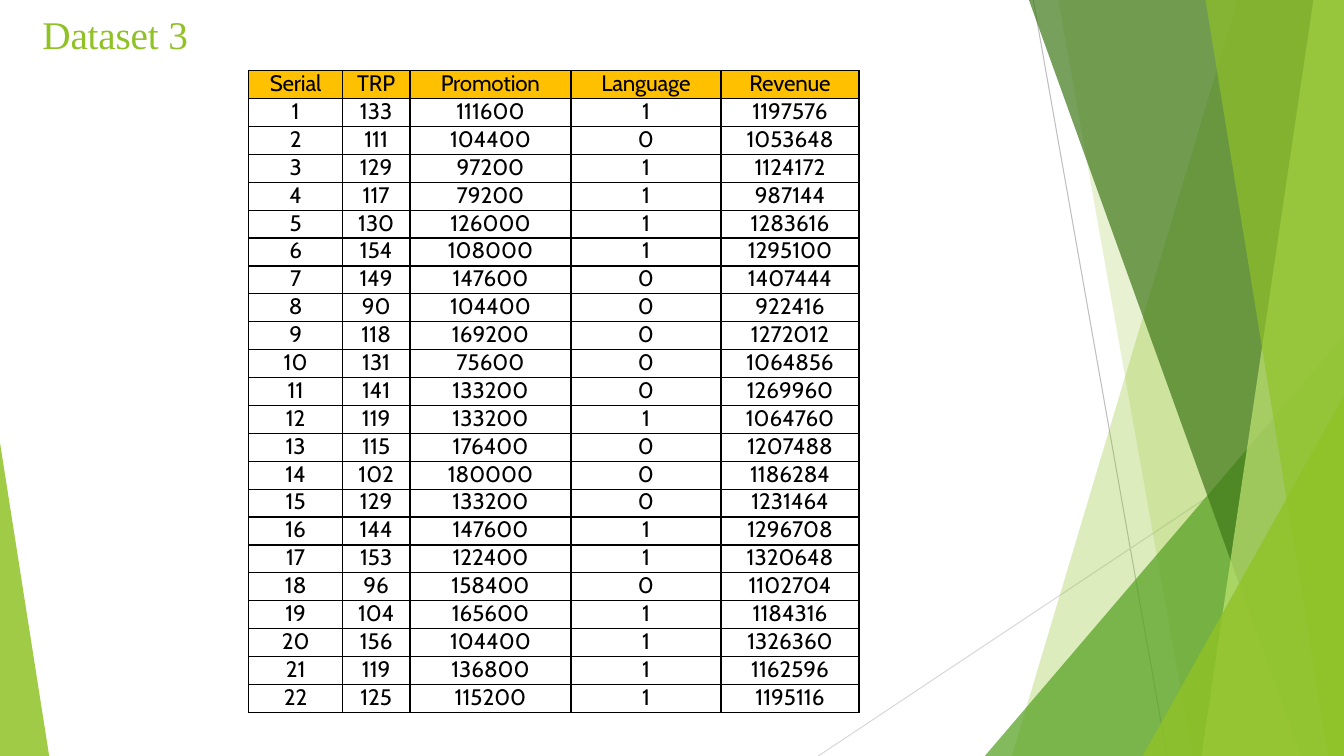
from lxml.etree import SubElement
from pptx import Presentation
from pptx.dml.color import RGBColor
from pptx.enum.shapes import MSO_CONNECTOR, MSO_SHAPE
from pptx.enum.text import MSO_ANCHOR, PP_ALIGN
from pptx.oxml.ns import qn
from pptx.util import Cm, Pt

WIDTH, HEIGHT = 33.87, 19.05
COLORS = {
    "lime": "90C226", "green": "54A021", "forest": "3F7819", "pale": "C0E474",
    "gray": "BFBFBF", "silver": "D9D9D9", "amber": "FFC000", "black": "000000",
}
HEADERS = ["Serial", "TRP", "Promotion", "Language", "Revenue"]
RECORDS = [
    (133, 111600, 1, 1197576),
    (111, 104400, 0, 1053648),
    (129, 97200, 1, 1124172),
    (117, 79200, 1, 987144),
    (130, 126000, 1, 1283616),
    (154, 108000, 1, 1295100),
    (149, 147600, 0, 1407444),
    (90, 104400, 0, 922416),
    (118, 169200, 0, 1272012),
    (131, 75600, 0, 1064856),
    (141, 133200, 0, 1269960),
    (119, 133200, 1, 1064760),
    (115, 176400, 0, 1207488),
    (102, 180000, 0, 1186284),
    (129, 133200, 0, 1231464),
    (144, 147600, 1, 1296708),
    (153, 122400, 1, 1320648),
    (96, 158400, 0, 1102704),
    (104, 165600, 1, 1184316),
    (156, 104400, 1, 1326360),
    (119, 136800, 1, 1162596),
    (125, 115200, 1, 1195116),
]


class Deck:
    def __init__(self, slide):
        self.s = slide

    def color(self, name):
        return RGBColor.from_string(COLORS[name])

    def paint(self, sp, color, opacity):
        sp.shadow.inherit = False
        sp.line.fill.background()
        sp.fill.solid()
        sp.fill.fore_color.rgb = self.color(color)
        clr = sp.fill._xPr.find(qn("a:solidFill"))[0]
        SubElement(clr, qn("a:alpha"), val=str(opacity * 1000))

    def line(self, x1, y1, x2, y2, color):
        cx = self.s.shapes.add_connector(
            MSO_CONNECTOR.STRAIGHT, Cm(x1), Cm(y1), Cm(x2), Cm(y2))
        cx.line.color.rgb = self.color(color)
        cx.line.width = Pt(0.75)
        SubElement(cx._element.spPr, qn("a:effectLst"))

    def ray(self, top_x, bottom_x, color, opacity):
        fb = self.s.shapes.build_freeform(Cm(top_x), 0, scale=1.0)
        fb.add_line_segments([(Cm(WIDTH), 0), (Cm(WIDTH), Cm(HEIGHT)),
                              (Cm(bottom_x), Cm(HEIGHT))], close=True)
        self.paint(fb.convert_to_shape(), color, opacity)

    def triangle(self, x, y, w, apex, color, opacity):
        sp = self.s.shapes.add_shape(MSO_SHAPE.ISOSCELES_TRIANGLE,
                                     Cm(x), Cm(y), Cm(w), Cm(HEIGHT - y))
        sp.adjustments[0] = apex
        self.paint(sp, color, opacity)

    def run(self, p, text, font, size, color, spacing=0):
        r = p.add_run()
        r.text = text
        r.font.name = font
        r.font.size = Pt(size)
        r.font.color.rgb = self.color(color)
        r._r.get_or_add_rPr().set("spc", str(spacing))

    def title(self, x, y, w, h, runs):
        tf = self.s.shapes.add_textbox(Cm(x), Cm(y), Cm(w), Cm(h)).text_frame
        tf.word_wrap = True
        tf.margin_left = tf.margin_right = tf.margin_bottom = 0
        tf.margin_top = Cm(0.03)
        p = tf.paragraphs[0]
        p.space_before = Pt(1.1)
        for text, spacing in runs:
            self.run(p, text, "Times New Roman", 28, "lime", spacing)

    def cell(self, cell, text, header):
        cell.margin_left = cell.margin_right = 0
        cell.margin_top = cell.margin_bottom = 0
        cell.vertical_anchor = MSO_ANCHOR.TOP
        tc_pr = cell._tc.get_or_add_tcPr()
        for side in ("lnL", "lnR", "lnT", "lnB"):
            ln = SubElement(tc_pr, qn(f"a:{side}"), w=str(Pt(1)))
            fill = SubElement(ln, qn("a:solidFill"))
            SubElement(fill, qn("a:srgbClr"), val=COLORS["black"])
        if header:
            cell.fill.solid()
            cell.fill.fore_color.rgb = self.color("amber")
        else:
            cell.fill.background()
        p = cell.text_frame.paragraphs[0]
        p.alignment = PP_ALIGN.CENTER
        p.line_spacing = Pt(18.9)
        spacing = -10 if header and text != "TRP" else 0
        self.run(p, text, "Cabin", 16, "black", spacing)

    def table(self, x, y, h, widths, rows):
        tbl = self.s.shapes.add_table(len(rows), len(widths), Cm(x), Cm(y),
                                      Cm(sum(widths)), Cm(h)).table
        tbl.first_row = tbl.horz_banding = False
        for col, width in zip(tbl.columns, widths):
            col.width = Cm(width)
        for i, values in enumerate(rows):
            tbl.rows[i].height = Cm(h / len(rows))
            for j, value in enumerate(values):
                self.cell(tbl.cell(i, j), str(value), i == 0)


def main():
    prs = Presentation()
    prs.slide_width, prs.slide_height = Cm(WIDTH), Cm(HEIGHT)
    deck = Deck(prs.slides.add_slide(prs.slide_layouts[6]))

    deck.line(26.04, 0, 29.41, HEIGHT, "gray")
    deck.line(WIDTH, 10.24, 20.62, HEIGHT, "silver")
    deck.ray(31.19, 25.5, "lime", 30)
    deck.ray(26.67, 30.05, "lime", 20)
    deck.triangle(24.82, 8.46, 9.05, 1, "green", 72)
    deck.ray(25.93, 32.79, "forest", 70)
    deck.ray(33.1, 30.28, "pale", 70)
    deck.ray(30.38, 33.48, "lime", 65)
    deck.triangle(28.8, 9.98, 5.07, 1, "lime", 80)
    deck.triangle(0, 11.15, 1.24, 0, "lime", 85)

    deck.title(1.07, 0.23, 5.69, 1.27, [("Dataset ", -10), ("3", 0)])
    rows = [HEADERS] + [(n, *record) for n, record in enumerate(RECORDS, 1)]
    deck.table(6.27, 1.78, 16.18, [2.36, 1.7, 4.06, 3.78, 3.48], rows)
    prs.save("out.pptx")


if __name__ == "__main__":
    main()
